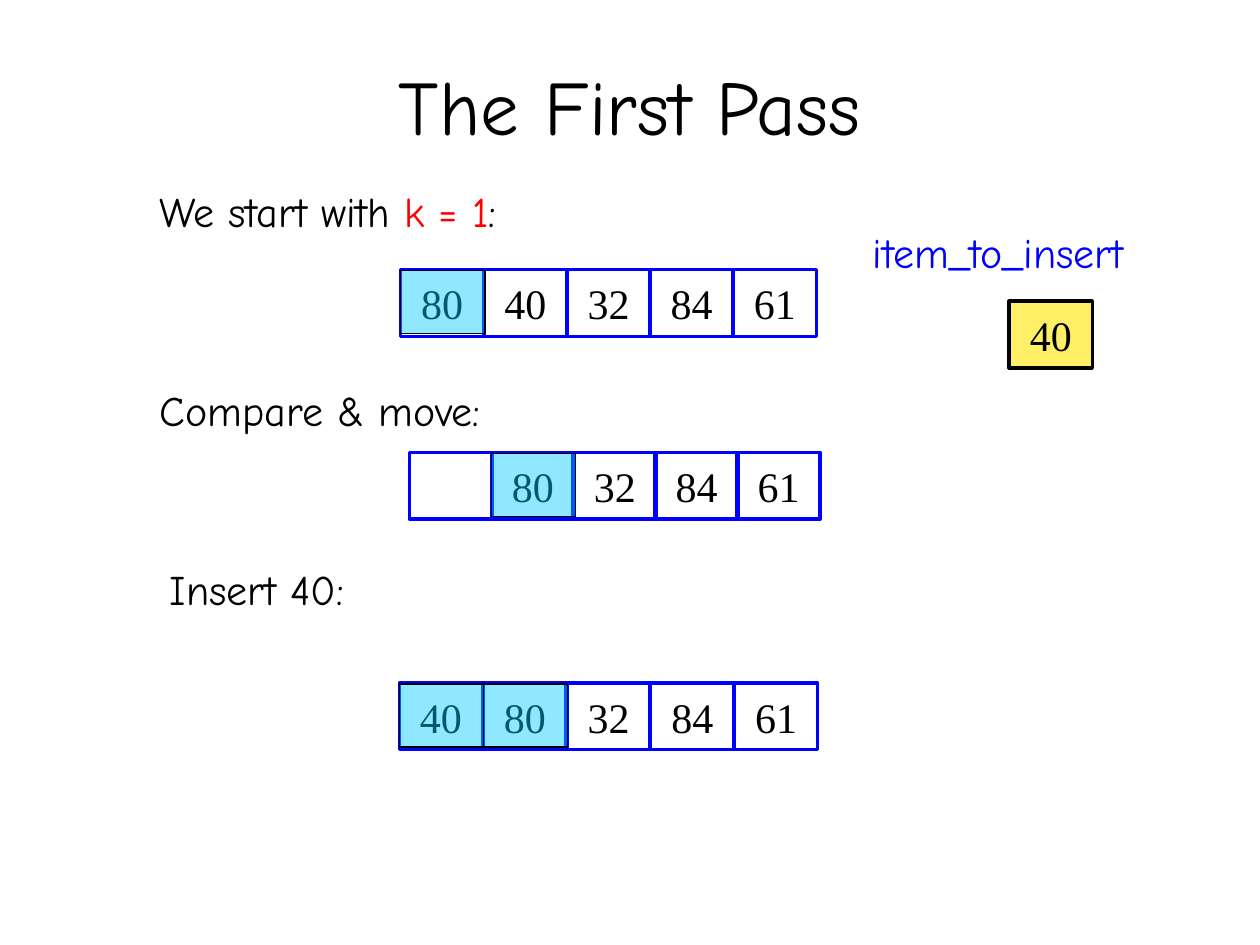
import pptx
import pptx.util
import pptx.dml.color
import pptx.enum.shapes
import pptx.enum.text
from lxml import etree

# Content: highlighted values are the sorted part of each array
TITLE = "The First Pass"
CAPTIONS = [  # left, top, width, runs of (text, colour)
    (1.17, 1.42, 3.3, [("We start with ", "ink"), ("k = 1", "red"), (":", "ink")]),
    (1.17, 3.0, 3.92, [("Compare & move:", "ink")]),
    (1.25, 4.42, 2.42, [("Insert 40:", "ink")]),
    (6.83, 1.75, 2.75, [("item_to_insert", "blue")]),
]
ARRAYS = [  # left, top, column pitch, values, highlighted columns
    (3.18, 2.14, 0.66, ["80", "40", "32", "84", "61"], [0]),
    (3.25, 3.59, 0.65, ["", "80", "32", "84", "61"], [1]),
    (3.17, 5.42, 0.665, ["40", "80", "32", "84", "61"], [0, 1]),
]
ITEM = (8.01, 2.39, "40")

THEME = {
    "ink": "000000", "red": "FF0000", "blue": "0000FF",
    "cyan": "00CCFF", "yellow": "FFEF66",
    "hand": "Comic Neue", "serif": "Times New Roman",
    "title": 44, "body": 24, "highlight_alpha": 44,
}
CELL_W, CELL_H = 0.66, 0.53
MARK_W, MARK_H = 0.67, 0.5

Inches, Pt = pptx.util.Inches, pptx.util.Pt
ALIGN, ANCHOR = pptx.enum.text.PP_ALIGN, pptx.enum.text.MSO_ANCHOR


def color(name):
    return pptx.dml.color.RGBColor.from_string(THEME[name])


def add_text(tf, runs, font="hand", size="body", align=ALIGN.LEFT,
             anchor=ANCHOR.TOP, wrap=True):
    tf.word_wrap = wrap
    tf.vertical_anchor = anchor
    p = tf.paragraphs[0]
    p.alignment = align
    for text, name in runs:
        r = p.add_run()
        r.text = text
        r.font.name = THEME[font]
        r.font.size = Pt(THEME[size])
        r.font.color.rgb = color(name)


def add_box(s, left, top, width, height, line, weight, fill=None, alpha=None, text=""):
    sp = s.shapes.add_shape(pptx.enum.shapes.MSO_SHAPE.RECTANGLE,
                            *map(Inches, (left, top, width, height)))
    sp.shadow.inherit = False
    sp.line.color.rgb = color(line)
    sp.line.width = Pt(weight)
    if fill:
        sp.fill.solid()
        sp.fill.fore_color.rgb = color(fill)
    else:
        sp.fill.background()
    if alpha:
        clr = sp.fill._xPr.find(".//" + pptx.oxml.ns.qn("a:srgbClr"))
        etree.SubElement(clr, pptx.oxml.ns.qn("a:alpha"), val=str(alpha * 1000))
    if text:
        add_text(sp.text_frame, [(text, "ink")], font="serif",
                 align=ALIGN.CENTER, anchor=ANCHOR.MIDDLE)


def main():
    prs = pptx.Presentation()
    prs.slide_width, prs.slide_height = Inches(10), Inches(7.5)
    s = prs.slides.add_slide(prs.slide_layouts[5])

    # Title
    title = s.shapes.title
    title.left, title.top, title.width, title.height = map(Inches, (0.75, 0.21, 8.5, 1.25))
    add_text(title.text_frame, [(TITLE, "ink")], size="title",
             align=ALIGN.CENTER, anchor=ANCHOR.MIDDLE)

    # Captions
    for left, top, width, runs in CAPTIONS:
        tb = s.shapes.add_textbox(*map(Inches, (left, top, width, 0.5)))
        add_text(tb.text_frame, runs)

    # Arrays, with the sorted part tinted on top
    for left, top, pitch, values, marks in ARRAYS:
        for i, value in enumerate(values):
            add_box(s, left + i * pitch, top, CELL_W, CELL_H, "blue", 2, text=value)
        for i in marks:
            add_box(s, left + i * pitch, top + 0.01, MARK_W, MARK_H, "ink", 0.75,
                    fill="cyan", alpha=THEME["highlight_alpha"])

    # Item being inserted
    left, top, value = ITEM
    add_box(s, left, top, CELL_W, CELL_H, "ink", 2, fill="yellow", text=value)

    prs.save("out.pptx")


if __name__ == "__main__":
    main()
